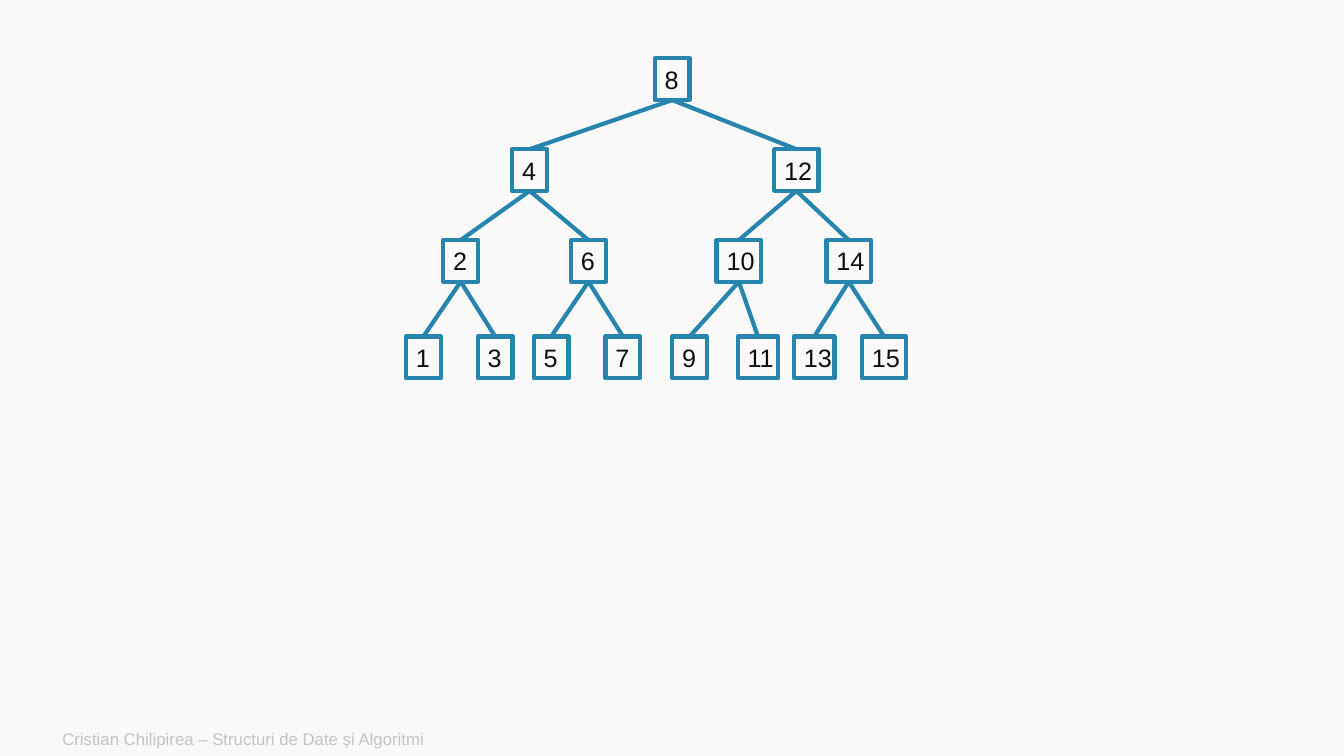
"""Draw a balanced binary search tree of fifteen keys with a course footer."""
from dataclasses import dataclass

from lxml.etree import SubElement
from pptx import Presentation
from pptx.dml.color import RGBColor
from pptx.enum.shapes import MSO_CONNECTOR as Connector, MSO_SHAPE as Preset
from pptx.enum.text import MSO_ANCHOR as Anchor, PP_ALIGN as Align
from pptx.oxml.ns import qn
from pptx.shapes.autoshape import Shape
from pptx.slide import Slide
from pptx.util import Cm, Pt


@dataclass(frozen=True)
class Theme:
    """Colours, font and sizes of the slide."""
    background: RGBColor = RGBColor(0xF9, 0xF9, 0xF9)
    accent: RGBColor = RGBColor(0x27, 0x85, 0xAD)
    key: RGBColor = RGBColor(0x0E, 0x0E, 0x0E)
    footer: RGBColor = RGBColor(0xC3, 0xC3, 0xC3)
    font: str = "Arial"
    key_size: int = 18
    footer_size: int = 12
    line_width: int = 3


@dataclass(frozen=True)
class Node:
    """One tree node: its key, horizontal centre and box width in cm."""
    key: int
    center: float
    width: float = 0.88


THEME = Theme()
BOX_HEIGHT = 1.05
LEVEL_TOPS = (1.47, 3.76, 6.05, 8.48)
BOTTOM, TOP = 2, 0
WIDE, MEDIUM = 1.12, 1.02
TREE = (
    Node(8, 16.94),
    Node(4, 13.35), Node(12, 20.07, WIDE),
    Node(2, 11.61), Node(6, 14.83), Node(10, 18.62, WIDE), Node(14, 21.39, WIDE),
    Node(1, 10.67), Node(3, 12.48), Node(5, 13.89), Node(7, 15.7),
    Node(9, 17.38), Node(11, 19.1, MEDIUM), Node(13, 20.52, MEDIUM), Node(15, 22.28, WIDE),
)


def set_text(shape: Shape, text: str, size: int, color: RGBColor, wrap: bool) -> None:
    """Write one left-aligned, vertically centred line of text."""
    frame = shape.text_frame
    for name, value in {"word_wrap": wrap, "vertical_anchor": Anchor.MIDDLE}.items():
        setattr(frame, name, value)
    paragraph = frame.paragraphs[0]
    paragraph.alignment = Align.LEFT
    run = paragraph.add_run()
    run.text = text
    for name, value in {"name": THEME.font, "size": Pt(size)}.items():
        setattr(run.font, name, value)
    run.font.color.rgb = color


def add_node(slide: Slide, node: Node, level: int) -> Shape:
    """Draw the outlined box of a node on its level."""
    box = slide.shapes.add_shape(
        Preset.RECTANGLE, Cm(node.center - node.width / 2), Cm(LEVEL_TOPS[level]),
        Cm(node.width), Cm(BOX_HEIGHT))
    box.shadow.inherit = False
    box.fill.background()
    box.line.color.rgb = THEME.accent
    box.line.width = Pt(THEME.line_width)
    set_text(box, str(node.key), THEME.key_size, THEME.key, wrap=False)
    return box


def add_edge(slide: Slide, parent: Shape, child: Shape) -> None:
    """Join the bottom of a parent box to the top of a child box."""
    edge = slide.shapes.add_connector(Connector.STRAIGHT, 0, 0, 0, 0)
    edge.begin_connect(parent, BOTTOM)
    edge.end_connect(child, TOP)
    edge.line.color.rgb = THEME.accent
    edge.line.width = Pt(THEME.line_width)
    SubElement(edge._element.spPr, qn("a:effectLst"))


def add_tree(slide: Slide) -> None:
    """Draw the nodes in level order and link each to its parent."""
    boxes: list[Shape] = []
    for index, node in enumerate(TREE):
        level = (index + 1).bit_length() - 1
        boxes.append(add_node(slide, node, level))
        if index:
            add_edge(slide, boxes[(index - 1) // 2], boxes[index])


def main() -> None:
    """Build and save the presentation."""
    presentation = Presentation()
    for name, value in {"slide_width": Cm(33.87), "slide_height": Cm(19.05)}.items():
        setattr(presentation, name, value)
    slide = presentation.slides.add_slide(presentation.slide_layouts[6])
    slide.background.fill.solid()
    slide.background.fill.fore_color.rgb = THEME.background
    footer = slide.shapes.add_textbox(Cm(1.32), Cm(18.19), Cm(21.34), Cm(0.86))
    set_text(footer, "Cristian Chilipirea – Structuri de Date și Algoritmi",
             THEME.footer_size, THEME.footer, wrap=True)
    add_tree(slide)
    presentation.save("out.pptx")


if __name__ == "__main__":
    main()
